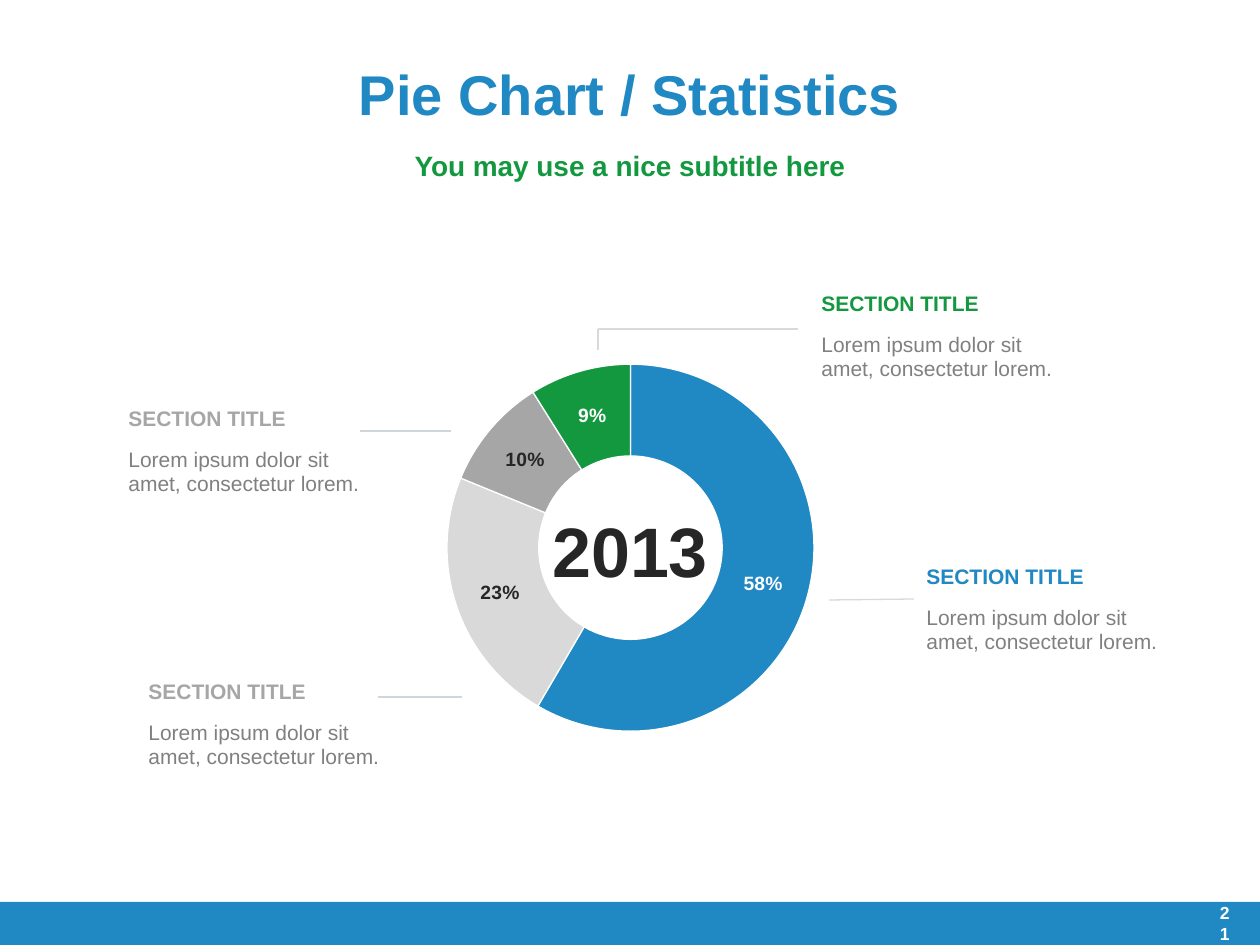
"""Build a slide with a doughnut chart and four labelled sections."""
from dataclasses import dataclass

from lxml.etree import SubElement
from pptx import Presentation
from pptx.chart.data import CategoryChartData
from pptx.dml.color import RGBColor
from pptx.enum.chart import XL_CHART_TYPE as ChartType
from pptx.enum.shapes import MSO_CONNECTOR as Connector, MSO_SHAPE as Shape
from pptx.enum.text import MSO_ANCHOR as Anchor, PP_ALIGN as Align
from pptx.oxml.ns import qn
from pptx.util import Inches, Pt


@dataclass(frozen=True)
class Theme:
    font: str = "Arial"
    blue: str = "2088C2"
    green: str = "13983F"
    gray: str = "A6A6A6"
    pale: str = "D9D9D9"
    leader: str = "CFD6DC"
    body: str = "808080"
    dark: str = "262626"
    white: str = "FFFFFF"
    title_size: int = 32
    subtitle_size: int = 16
    year_size: int = 40
    text_size: int = 12
    label_size: int = 11
    number_size: int = 10


THEME = Theme()
TITLE = "Pie Chart / Statistics"
SUBTITLE = "You may use a nice subtitle here"
YEAR = "2013"
PAGE_NUMBER = "21"
HEADING = "SECTION TITLE"
BODY = "Lorem ipsum dolor sit amet, consectetur lorem."

QUARTERS = [
    ("1st Qtr", 59, THEME.blue, THEME.white),
    ("2nd Qtr", 23, THEME.pale, THEME.dark),
    ("3rd Qtr", 10, THEME.gray, THEME.dark),
    ("4th Qtr", 9, THEME.green, THEME.white),
]
SECTIONS = [
    (116, 399, THEME.gray),
    (136, 672, THEME.gray),
    (914, 557, THEME.blue),
    (809, 284, THEME.green),
]
LEADERS = [
    (914, 599, 829, 600, THEME.pale, 0.75),
    (798, 329, 598, 329, THEME.pale, 0.75),
    (598, 350, 598, 329, THEME.pale, 0.75),
    (462, 697, 378, 697, THEME.leader, 1),
    (451, 431, 360, 431, THEME.leader, 1),
]
PLOT_LAYOUT = {"x": 0.16, "y": 0.05, "w": 0.743, "h": 0.892}


def px(length):
    return Inches(length / 126)


def box(*lengths):
    return [px(length) for length in lengths]


def style_font(font, size, color, bold=True):
    font.name = THEME.font
    font.size = Pt(size)
    font.bold = bold
    font.color.rgb = RGBColor.from_string(color)


def write(shape, text, size, color, bold=True, align=Align.LEFT, anchor=Anchor.TOP, spacing=None):
    frame = shape.text_frame
    frame.word_wrap = True
    frame.vertical_anchor = anchor
    frame.text = text
    paragraph = frame.paragraphs[0]
    paragraph.alignment = align
    paragraph.space_before = Pt(0)
    paragraph.line_spacing = spacing
    style_font(paragraph.font, size, color, bold)
    return paragraph


def add_text(slide, bounds, *args, **options):
    write(slide.shapes.add_textbox(*box(*bounds)), *args, **options)


def fill_placeholder(shape, bounds, *args, **options):
    shape.left, shape.top, shape.width, shape.height = box(*bounds)
    return write(shape, *args, align=Align.CENTER, anchor=Anchor.MIDDLE, **options)


def add_headings(slide):
    fill_placeholder(slide.shapes.title, (63, 53, 1134, 81), TITLE, THEME.title_size, THEME.blue)
    paragraph = fill_placeholder(slide.placeholders[1], (63, 139, 1134, 49), SUBTITLE,
                                 THEME.subtitle_size, THEME.green, spacing=1.1)
    properties = paragraph._p.get_or_add_pPr()
    properties.set("marL", "0")
    properties.set("indent", "0")
    bullet = SubElement(properties, qn("a:buNone"))
    properties.find(qn("a:defRPr")).addprevious(bullet)


def add_footer(slide):
    bar = slide.shapes.add_shape(Shape.RECTANGLE, *box(0, 902, 1260, 43))
    bar.shadow.inherit = False
    bar.fill.solid()
    bar.fill.fore_color.rgb = RGBColor.from_string(THEME.blue)
    bar.line.fill.background()
    add_text(slide, (1207, 906, 35, 34), PAGE_NUMBER, THEME.number_size, THEME.white,
             align=Align.RIGHT, anchor=Anchor.MIDDLE)


def add_doughnut(slide):
    data = CategoryChartData()
    data.categories = [quarter[0] for quarter in QUARTERS]
    data.add_series("Series 1", [quarter[1] for quarter in QUARTERS])
    chart = slide.shapes.add_chart(ChartType.DOUGHNUT, *box(368, 276, 494, 548), data).chart
    chart.has_legend = False
    chart.has_title = False
    style_font(chart.font, THEME.label_size, THEME.white)
    plot = chart.plots[0]
    plot.vary_by_categories = False
    for index, (_, _, color, label_color) in enumerate(QUARTERS):
        point = plot.series[0].points[index]
        point.format.fill.solid()
        point.format.fill.fore_color.rgb = RGBColor.from_string(color)
        point.format.line.color.rgb = RGBColor.from_string(THEME.white)
        point.format.line.width = Pt(0.75)
        style_font(point.data_label.font, THEME.label_size, label_color)

    root = chart.element
    for name, shown in (("showVal", "0"), ("showPercent", "1")):
        for flag in root.xpath(f".//c:dLbl/c:{name}"):
            flag.set("val", shown)
    area = root.find(".//" + qn("c:plotArea"))
    for old_layout in area.findall(qn("c:layout")):
        area.remove(old_layout)
    layout = SubElement(area, qn("c:layout"))
    area.insert(0, layout)
    manual = SubElement(layout, qn("c:manualLayout"))
    settings = {"layoutTarget": "inner", "xMode": "edge", "yMode": "edge", **PLOT_LAYOUT}
    for name, value in settings.items():
        SubElement(manual, qn(f"c:{name}")).set("val", str(value))


def add_leaders(slide):
    for *ends, color, width in LEADERS:
        leader = slide.shapes.add_connector(Connector.STRAIGHT, *box(*ends))
        leader.line.color.rgb = RGBColor.from_string(color)
        leader.line.width = Pt(width)
        SubElement(leader._element.spPr, qn("a:effectLst"))


def add_sections(slide):
    for left, top, color in SECTIONS:
        add_text(slide, (left, top, 184, 38), HEADING, THEME.text_size, color)
        add_text(slide, (left, top + 42, 273, 84), BODY, THEME.text_size, THEME.body,
                 bold=False, spacing=Pt(13.8))


def main():
    presentation = Presentation()
    presentation.slide_width, presentation.slide_height = box(1260, 945)
    slide = presentation.slides.add_slide(presentation.slide_layouts[1])
    add_headings(slide)
    add_footer(slide)
    add_doughnut(slide)
    add_leaders(slide)
    add_sections(slide)
    add_text(slide, (525, 501, 210, 97), YEAR, THEME.year_size, THEME.dark, align=Align.CENTER)
    presentation.save("out.pptx")


if __name__ == "__main__":
    main()
